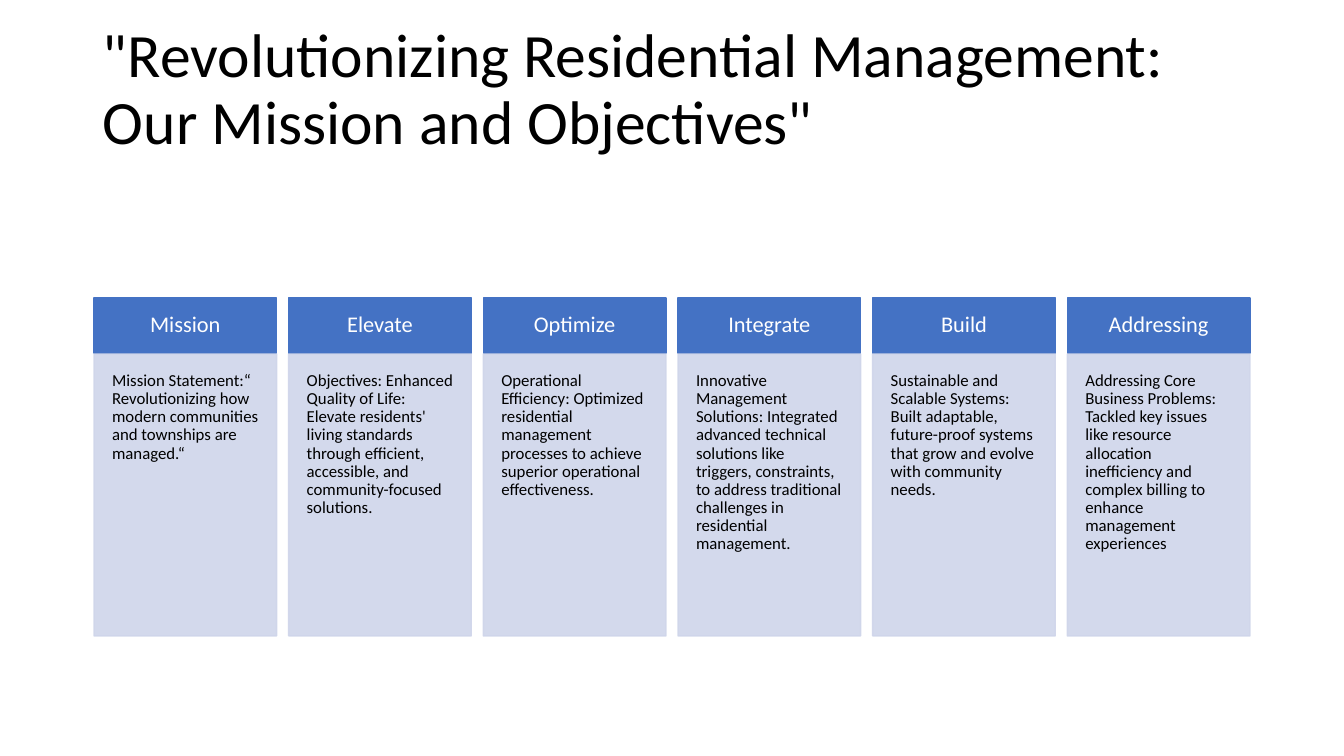
import pptx
import pptx.util
import pptx.dml.color
import pptx.enum.shapes
import pptx.enum.text
import pptx.oxml.ns
from lxml import etree

PX = 12192000 / 1344
BLUE = pptx.dml.color.RGBColor(0x44, 0x72, 0xC4)
PALE = pptx.dml.color.RGBColor(0xCF, 0xD5, 0xEA)
BLACK = pptx.dml.color.RGBColor(0, 0, 0)
WHITE = pptx.dml.color.RGBColor(0xFF, 0xFF, 0xFF)
LEFT, RIGHT, GAP = 94, 1250, 12
HEAD_TOP, HEAD_HEIGHT = 298, 55
BODY_TOP, BODY_HEIGHT = 354, 282

CARDS = [
    ("Mission", "Mission Statement:“ Revolutionizing how modern communities and "
                "townships are managed.“"),
    ("Elevate", "Objectives: Enhanced Quality of Life: Elevate residents' living standards "
                "through efficient, accessible, and community-focused solutions."),
    ("Optimize", "Operational Efficiency: Optimized residential management processes to "
                 "achieve superior operational effectiveness."),
    ("Integrate", "Innovative Management Solutions: Integrated advanced technical solutions "
                  "like triggers, constraints, to address traditional challenges in "
                  "residential management."),
    ("Build", "Sustainable and Scalable Systems: Built adaptable, future-proof systems that "
              "grow and evolve with community needs."),
    ("Addressing", "Addressing Core Business Problems: Tackled key issues like resource "
                   "allocation inefficiency and complex billing to enhance management "
                   "experiences"),
]


def px(n):
    return pptx.util.Emu(round(n * PX))


def write(shape, text, size, color, align, anchor, inset):
    """Fill a shape with one formatted paragraph."""
    tf = shape.text_frame
    tf.word_wrap = True
    tf.auto_size = pptx.enum.text.MSO_AUTO_SIZE.NONE
    tf.vertical_anchor = anchor
    tf.margin_left = tf.margin_right = px(inset[0])
    tf.margin_top = tf.margin_bottom = px(inset[1])
    tf.text = text
    p = tf.paragraphs[0]
    p.alignment = align
    p.line_spacing = 0.9
    font = p.runs[0].font
    font.name = "Calibri"
    font.size = pptx.util.Pt(size)
    font.color.rgb = color


ALIGN = pptx.enum.text.PP_ALIGN
ANCHOR = pptx.enum.text.MSO_ANCHOR
RECTANGLE = pptx.enum.shapes.MSO_SHAPE.RECTANGLE

prs = pptx.Presentation()
prs.slide_width, prs.slide_height = px(1344), px(756)
s = prs.slides.add_slide(prs.slide_layouts[5])

title = s.shapes.title
title.left, title.top, title.width, title.height = px(93), px(18), px(1159), px(146)
write(title, "\"Revolutionizing Residential Management: Our Mission and Objectives\"",
      44, BLACK, ALIGN.LEFT, ANCHOR.MIDDLE, (10, 5))

width = (RIGHT - LEFT - GAP * (len(CARDS) - 1)) / len(CARDS)
for i, (heading, description) in enumerate(CARDS):
    x = LEFT + i * (width + GAP)
    head = s.shapes.add_shape(RECTANGLE, px(x), px(HEAD_TOP), px(width), px(HEAD_HEIGHT))
    body = s.shapes.add_shape(RECTANGLE, px(x), px(BODY_TOP), px(width), px(BODY_HEIGHT))
    for box, color in ((head, BLUE), (body, PALE)):
        box.shadow.inherit = False
        box.fill.solid()
        box.fill.fore_color.rgb = color
        box.line.color.rgb = color
        box.line.width = pptx.util.Pt(1)
    for clr in body._element.spPr.iter(pptx.oxml.ns.qn("a:srgbClr")):
        etree.SubElement(clr, pptx.oxml.ns.qn("a:alpha"), val="90000")
    write(head, heading, 16, WHITE, ALIGN.CENTER, ANCHOR.MIDDLE, (14, 14))
    write(body, description, 12, BLACK, ALIGN.LEFT, ANCHOR.TOP, (18, 18))

prs.save("out.pptx")
